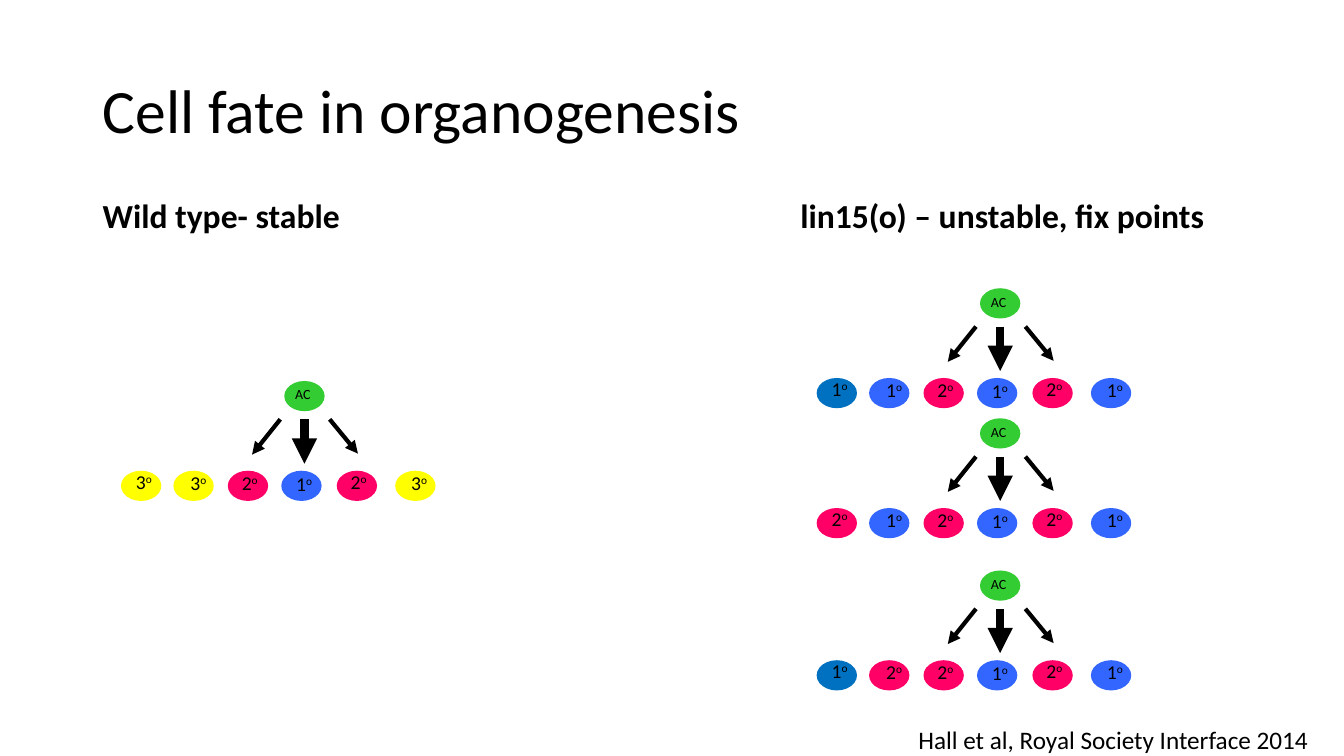
from lxml.etree import SubElement
from pptx import Presentation
from pptx.dml.color import RGBColor
from pptx.enum.shapes import MSO_CONNECTOR, MSO_SHAPE
from pptx.enum.text import MSO_ANCHOR, MSO_AUTO_SIZE
from pptx.oxml.ns import qn
from pptx.util import Inches, Pt

BLACK, ANCHOR_GREEN = "000000", "33CC33"
FATES = {
    "primary": ("1", "3366FF"),
    "primary_dark": ("1", "0070C0"),
    "secondary": ("2", "FF0066"),
    "tertiary": ("3", "FFFF00"),
}
CELL_SIZE = (0.4, 0.3)
CELL_TOP = 0.89
CELL_LEFTS = (0, 0.52, 1.06, 1.59, 2.14, 2.72)
DEGREE_OFFSETS = ((0.05, 0.83), (0.59, 0.84), (1.1, 0.84),
                  (1.64, 0.85), (2.18, 0.83), (2.78, 0.84))
SIGNALS = (((1.82, 0.38), (1.82, 0.82), 6),
           ((2.07, 0.38), (2.35, 0.72), 3),
           ((1.58, 0.38), (1.3, 0.73), 3))
CORE = ("secondary", "primary", "secondary")
LINEAGES = (
    (1.2, 3.78, ("tertiary", "tertiary", *CORE, "tertiary")),
    (8.1, 4.15, ("secondary", "primary", *CORE, "primary")),
    (8.1, 5.66, ("primary_dark", "secondary", *CORE, "primary")),
    (8.1, 2.86, ("primary_dark", "primary", *CORE, "primary")),
)


def color(hex_code):
    """Turn a hex string into a colour."""
    return RGBColor.from_string(hex_code)


def add_text(shapes, text, left, top, width, height, *, size, bold=False,
             superscript="", wrap=False, anchor=MSO_ANCHOR.TOP,
             line_spacing=None, bottom_inset=0.05):
    """Add a text box, with an optional superscript after the text."""
    box = shapes.add_textbox(Inches(left), Inches(top), Inches(width), Inches(height))
    frame = box.text_frame
    frame.word_wrap = wrap
    frame.auto_size = MSO_AUTO_SIZE.NONE if wrap else MSO_AUTO_SIZE.SHAPE_TO_FIT_TEXT
    frame.vertical_anchor = anchor
    frame.margin_bottom = Inches(bottom_inset)
    paragraph = frame.paragraphs[0]
    paragraph.line_spacing = line_spacing
    for wording, baseline in ((text, "0"), (superscript, "30000")):
        if wording:
            run = paragraph.add_run()
            run.text = wording
            run.font.name = "Calibri"
            run.font.size = Pt(size)
            run.font.bold = bold
            run.font.color.rgb = color(BLACK)
            run.font._element.set("baseline", baseline)


def add_cell(shapes, left, top, fill):
    """Add one oval cell."""
    width, height = CELL_SIZE
    cell = shapes.add_shape(MSO_SHAPE.OVAL, Inches(left), Inches(top),
                            Inches(width), Inches(height))
    cell.shadow.inherit = False
    cell.fill.solid()
    cell.fill.fore_color.rgb = color(fill)
    cell.line.fill.background()


def add_signal(shapes, start, end, weight):
    """Add an arrow from the anchor cell towards a precursor cell."""
    signal = shapes.add_connector(MSO_CONNECTOR.STRAIGHT,
                                  *map(Inches, start), *map(Inches, end))
    signal.line.color.rgb = color(BLACK)
    signal.line.width = Pt(weight)
    SubElement(signal.line._get_or_add_ln(), qn("a:tailEnd"), type="triangle")
    SubElement(signal._element.spPr, qn("a:effectLst"))


def add_lineage(slide, left, top, fates):
    """Add an anchor cell signalling to a row of precursor cells."""
    shapes = slide.shapes.add_group_shape().shapes
    add_cell(shapes, left + 1.62, top, ANCHOR_GREEN)
    for (x1, y1), (x2, y2), weight in SIGNALS:
        add_signal(shapes, (left + x1, top + y1), (left + x2, top + y2), weight)
    for fate, cell_left in zip(fates, CELL_LEFTS):
        add_cell(shapes, left + cell_left, top + CELL_TOP, FATES[fate][1])
    for fate, (x, y) in zip(fates, DEGREE_OFFSETS):
        add_text(shapes, FATES[fate][0], left + x, top + y, 0.37, 0.34,
                 size=14, superscript="o")
    add_text(shapes, "AC", left + 1.63, top, 0.36, 0.27, size=10)


def main():
    """Build the slide and save it."""
    deck = Presentation()
    deck.slide_width, deck.slide_height = Inches(13.33), Inches(7.5)
    slide = deck.slides.add_slide(deck.slide_layouts[6])
    add_text(slide.shapes, "Cell fate in organogenesis", 0.92, 0.4, 11.5, 1.45,
             size=44, wrap=True, anchor=MSO_ANCHOR.MIDDLE, line_spacing=0.9)
    for heading, left, width in (("Wild type- stable", 0.92, 5.64),
                                 ("lin15(o) – unstable, fix points", 7.84, 4.58)):
        add_text(slide.shapes, heading, left, 1.84, width, 0.9, size=24, bold=True,
                 wrap=True, anchor=MSO_ANCHOR.BOTTOM, line_spacing=0.9,
                 bottom_inset=0.4)
    for left, top, fates in LINEAGES:
        add_lineage(slide, left, top, fates)
    add_text(slide.shapes, "Hall et al, Royal Society Interface 2014",
             9.01, 7.14, 4.11, 0.4, size=18)
    deck.save("out.pptx")


if __name__ == "__main__":
    main()
